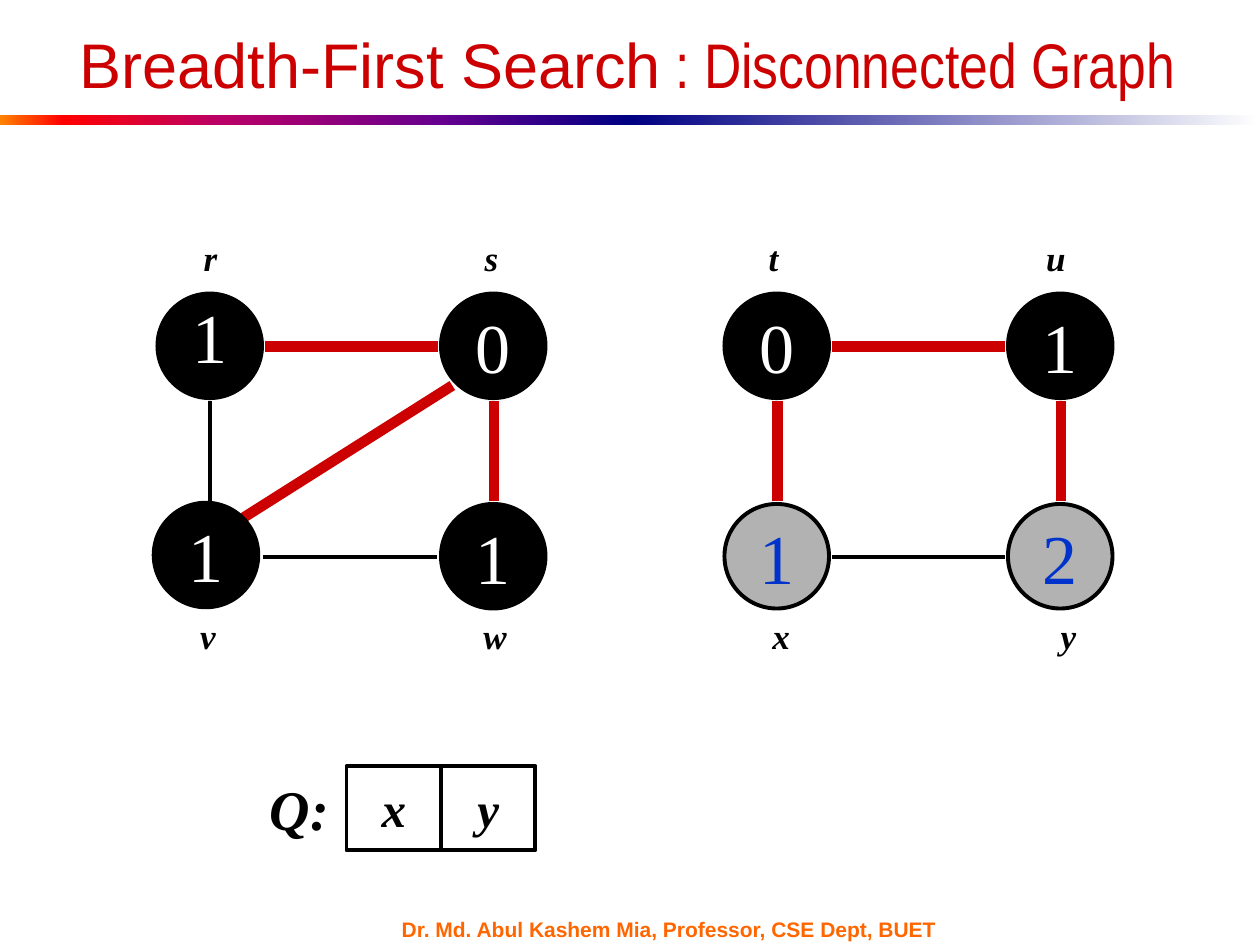
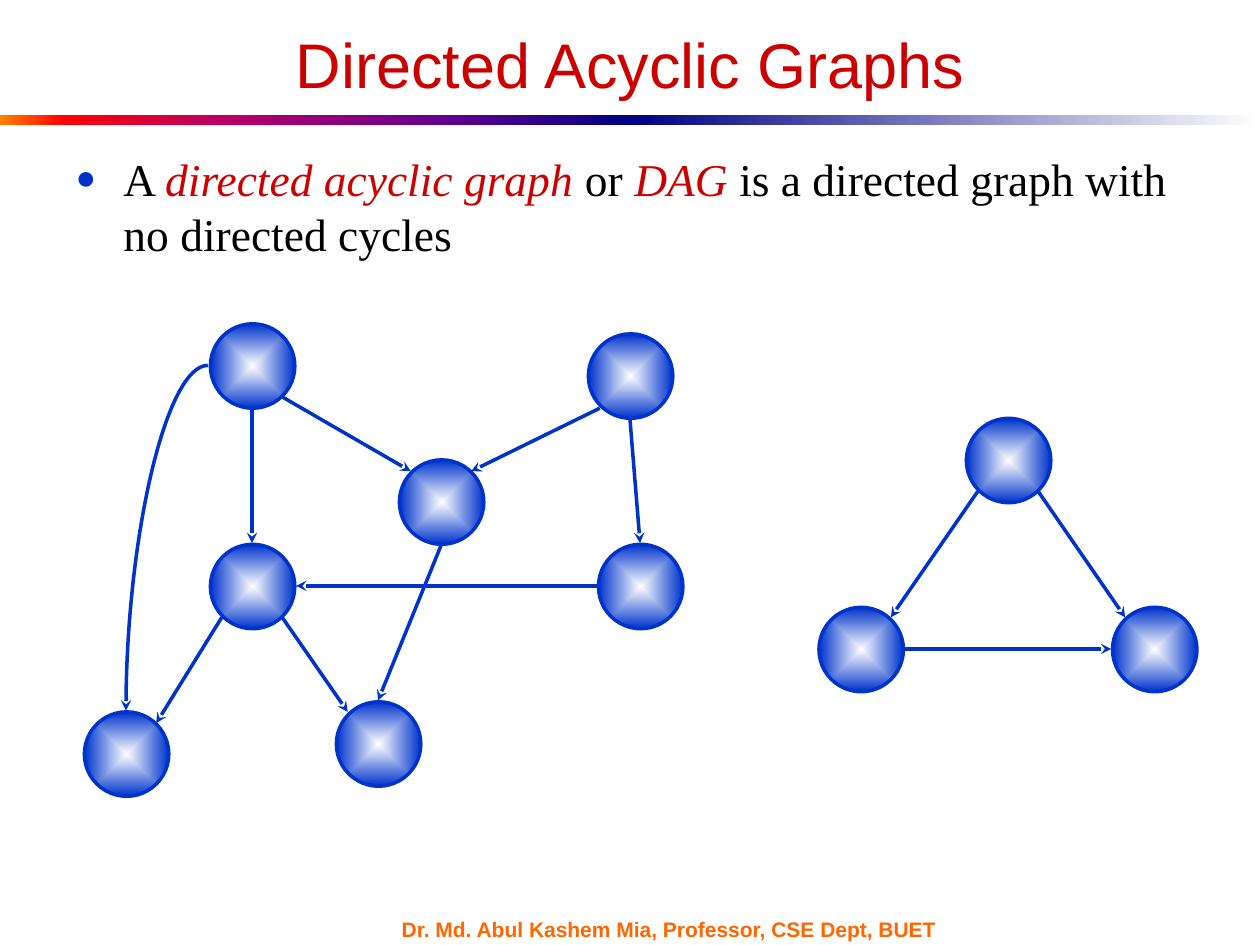
"""Build two lecture slides: breadth-first search on a disconnected graph, and directed acyclic graphs."""
from lxml import etree
from pptx import Presentation, oxml
from pptx.dml.color import RGBColor
from pptx.enum import shapes, text
from pptx.oxml import ns
from pptx.util import Inches, Pt

RED = RGBColor(0xCC, 0x00, 0x00)
BLUE = RGBColor(0x00, 0x33, 0xCC)
ORANGE = RGBColor(0xFF, 0x66, 0x00)
BLACK = RGBColor(0x00, 0x00, 0x00)
WHITE = RGBColor(0xFF, 0xFF, 0xFF)
GRAY = RGBColor(0xB2, 0xB2, 0xB2)

SERIF = "Times New Roman"
LINEAR = '<a:lin ang="0" scaled="1"/>'
RADIAL = '<a:path path="shape"><a:fillToRect l="50000" t="50000" r="50000" b="50000"/></a:path>'
RAINBOW = [(0, "FF8200"), (10, "FF0000"), (35, "BA0066"), (70, "66008F"), (100, "000082")]
FADE = [(0, "000082"), (100, "FFFFFF")]
GLOW = [(0, "FFFFFF"), (100, BLUE)]
OVAL = shapes.MSO_SHAPE.OVAL
RECTANGLE = shapes.MSO_SHAPE.RECTANGLE


def add_box(page, kind, place, fill=None, stops=(), direction=LINEAR, line=None, width=2.25):
    """Add a preset shape with a plain, gradient or empty fill."""
    box = page.shapes.add_shape(kind, *map(Inches, place))
    box.shadow.inherit = False
    box.fill.background()
    if stops:
        marks = "".join(f'<a:gs pos="{spot * 1000}"><a:srgbClr val="{color}"/></a:gs>' for spot, color in stops)
        gradient = oxml.parse_xml(
            f'<a:gradFill {ns.nsdecls("a")} rotWithShape="1"><a:gsLst>{marks}</a:gsLst>{direction}</a:gradFill>')
        properties = box._element.spPr
        properties.replace(properties.find(ns.qn("a:noFill")), gradient)
    elif fill is not None:
        box.fill.solid()
        box.fill.fore_color.rgb = fill
    if line is None:
        box.line.fill.background()
    else:
        box.line.color.rgb = line
        box.line.width = Pt(width)
    return box


def write(frame, words, size, color=BLACK, align=text.PP_ALIGN.CENTER, **formats):
    """Add a formatted span to the first paragraph of a text frame."""
    para = frame.paragraphs[0]
    para.alignment = align
    span = para.add_run()
    span.text = words
    for name, value in {"name": SERIF, "size": Pt(size), **formats}.items():
        setattr(span.font, name, value)
    span.font.color.rgb = color
    return para


deck = Presentation()
deck.slide_width, deck.slide_height = Inches(10), Inches(7.5)
search_page = deck.slides.add_slide(deck.slide_layouts[5])
dag_page = deck.slides.add_slide(deck.slide_layouts[1])

titles = [
    (search_page, 0.23, 9.5, [("Breadth-First Search", "Arial"), (" : Disconnected Graph", "Arial Narrow")]),
    (dag_page, 0.5, 9, [("Directed Acyclic Graphs", "Arial")]),
]
for page, left, width, spans in titles:
    add_box(page, RECTANGLE, (0, 0.91, 5, 0.08), stops=RAINBOW)
    add_box(page, RECTANGLE, (5, 0.91, 5, 0.08), stops=FADE)
    footer = page.shapes.add_textbox(*map(Inches, (3.09, 7.28, 4.67, 0.18))).text_frame
    footer.word_wrap = True
    footer.vertical_anchor = text.MSO_ANCHOR.MIDDLE
    write(footer, "Dr. Md. Abul Kashem Mia, Professor, CSE Dept, BUET", 12, ORANGE,
          text.PP_ALIGN.LEFT, name="Arial", bold=True)
    title = page.shapes.title
    title.left, title.top, title.width, title.height = map(Inches, (left, 0.25, width, 0.51))
    title.text_frame.auto_size = text.MSO_AUTO_SIZE.NONE
    title.text_frame.vertical_anchor = text.MSO_ANCHOR.MIDDLE
    for words, font in spans:
        write(title.text_frame, words, 36, RED, name=font)

body = dag_page.placeholders[1]
body.left, body.top, body.width, body.height = map(Inches, (0.5, 1.15, 9, 1.18))
body.text_frame.auto_size = text.MSO_AUTO_SIZE.NONE
definition = [("A ", False), ("directed acyclic graph", True), (" or ", False), ("DAG", True),
              (" is a directed graph with no directed cycles", False)]
for words, is_term in definition:
    para = write(body.text_frame, words, 26, RED if is_term else BLACK, text.PP_ALIGN.LEFT, italic=is_term)
bullet = para._p.get_or_add_pPr()
bullet.set("marL", str(Inches(0.38)))
bullet.set("indent", str(Inches(-0.38)))
bullet_color = etree.SubElement(bullet, ns.qn("a:buClr"))
etree.SubElement(bullet_color, ns.qn("a:srgbClr"), val=str(BLUE))
etree.SubElement(bullet, ns.qn("a:buSzPct"), val="75000")
etree.SubElement(bullet, ns.qn("a:buFont"), typeface=SERIF)
etree.SubElement(bullet, ns.qn("a:buChar"), char="●")

tree_edges = [
    (2.1, 2.75, 3.48, 2.75), (3.92, 3.18, 3.92, 3.98), (1.93, 4.11, 3.59, 3.06),
    (6.17, 3.98, 6.17, 3.18), (8.42, 3.98, 8.42, 3.18), (6.6, 2.75, 7.98, 2.75),
]
other_edges = [(2.09, 4.42, 3.47, 4.42), (6.6, 4.42, 7.98, 4.42), (1.67, 3.98, 1.67, 3.18)]
arrows = [
    (2, 3.25, 2, 4.31), (2.24, 3.15, 3.26, 3.74), (4.76, 3.24, 3.74, 3.74),
    (5, 3.33, 5.08, 4.31), (4.74, 4.65, 2.35, 4.65), (3.5, 4.33, 3, 5.56),
    (2.24, 4.9, 2.76, 5.65), (1.76, 4.9, 1.24, 5.74),
    (7.76, 3.9, 7.07, 4.9), (7.18, 5.15, 8.82, 5.15), (8.24, 3.9, 8.93, 4.9),
]
curved_arrows = [(1.65, 2.9, 1, 5.64)]
edge_groups = [
    (search_page, tree_edges, "line", RED, 6, False),
    (search_page, other_edges, "line", BLACK, 2.25, False),
    (dag_page, arrows, "line", BLUE, 2, True),
    (dag_page, curved_arrows, "curvedConnector2", BLUE, 2, True),
]
for page, edges, preset, color, width, directed in edge_groups:
    for ends in edges:
        edge = page.shapes.add_connector(shapes.MSO_CONNECTOR.STRAIGHT, *map(Inches, ends))
        edge.line.color.rgb = color
        edge.line.width = Pt(width)
        properties = edge._element.spPr
        properties.find(ns.qn("a:prstGeom")).set("prst", preset)
        if directed:
            etree.SubElement(properties.find(ns.qn("a:ln")), ns.qn("a:tailEnd"), type="stealth")
        etree.SubElement(properties, ns.qn("a:effectLst"))

upper, lower = 2.33, 4
columns = [1.25 + 2.25 * index for index in range(4)]
vertices = [
    ("r", "1", columns[0], upper, 1.67, True), ("s", "0", columns[1], upper, 3.9, True),
    ("t", "0", columns[2], upper, 6.14, True), ("u", "1", columns[3], upper, 8.38, True),
    ("v", "1", 1.22, 3.99, 1.65, True), ("w", "1", columns[1], lower, 3.93, True),
    ("x", "1", columns[2], lower, 6.2, False), ("y", "2", columns[3], lower, 8.48, False),
]
for name, distance, left, top, label_center, finished in vertices:
    node = add_box(search_page, OVAL, (left, top, 0.83, 0.83), BLACK if finished else GRAY, line=BLACK)
    node.text_frame.word_wrap = False
    para = write(node.text_frame, distance, 40, WHITE if finished else BLUE)
    if name == "r":
        para.line_spacing = 0.7
    label_top = 1.83 if top == upper else 4.83
    label = search_page.shapes.add_textbox(*map(Inches, (label_center - 0.2, label_top, 0.4, 0.43)))
    label.text_frame.word_wrap = False
    write(label.text_frame, name, 20, bold=True, italic=True)

for index, (words, size, border) in enumerate([("Q:", 32, None), ("x", 28, BLACK), ("y", 28, BLACK)]):
    cell = add_box(search_page, RECTANGLE, (2 + 0.75 * index, 6.08, 0.75, 0.67), line=border)
    cell.text_frame.word_wrap = False
    write(cell.text_frame, words, size, bold=True, italic=True)

dag_nodes = [
    (1.67, 2.57), (4.67, 2.65), (3.17, 3.65), (1.67, 4.32), (4.75, 4.32),
    (2.67, 5.57), (0.67, 5.65), (7.67, 3.32), (8.83, 4.82), (6.5, 4.82),
]
for left, top in dag_nodes:
    add_box(dag_page, OVAL, (left, top, 0.67, 0.67), stops=GLOW, direction=RADIAL, line=BLUE, width=2)

deck.save("out.pptx")
